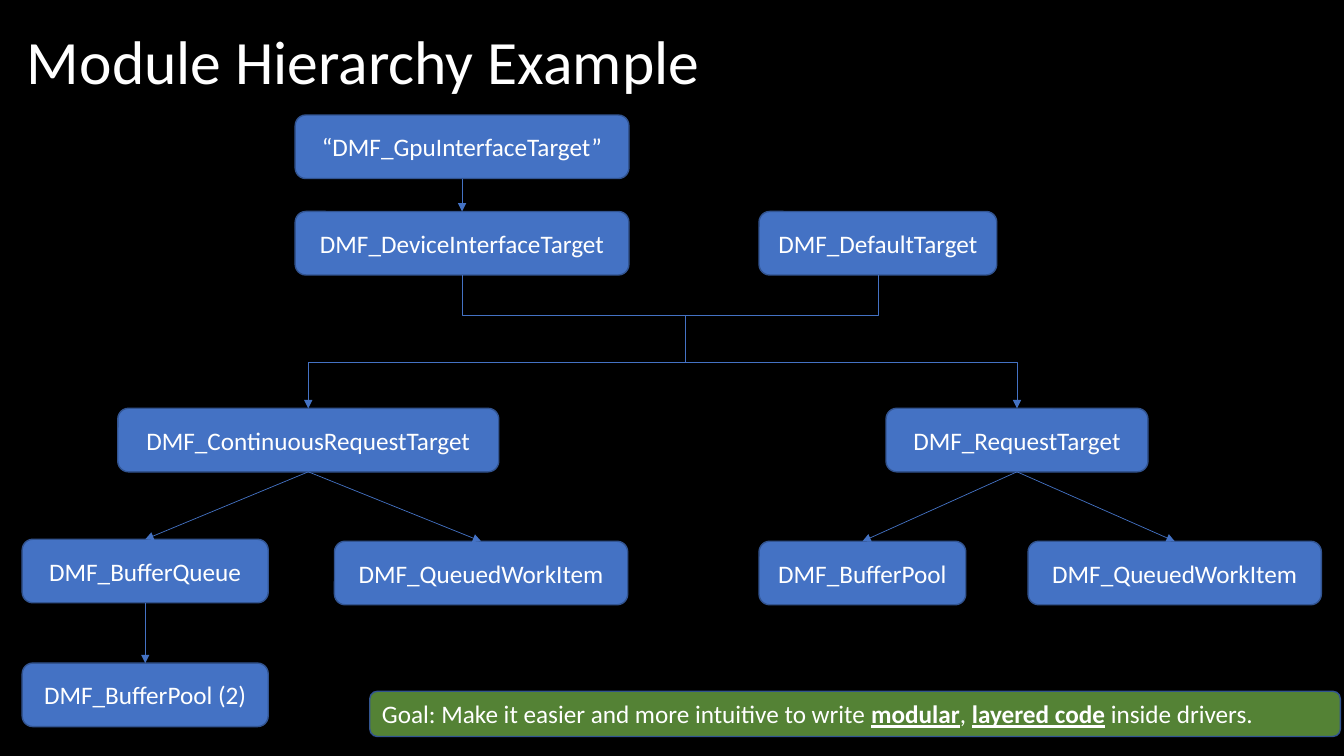
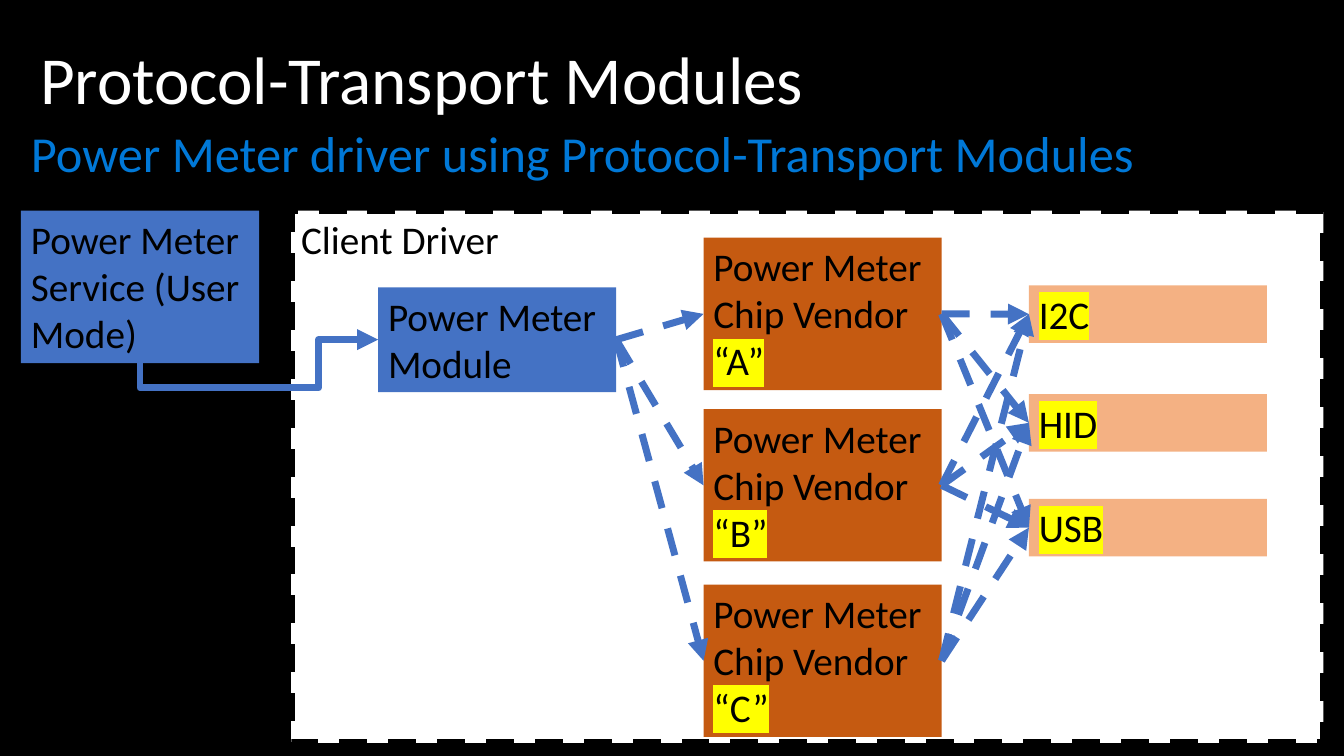
from dataclasses import dataclass
from itertools import product

from lxml import etree
from pptx import Presentation
from pptx.dml.color import RGBColor
from pptx.enum.dml import MSO_LINE
from pptx.enum.shapes import MSO_CONNECTOR, MSO_SHAPE
from pptx.enum.text import MSO_ANCHOR, PP_ALIGN
from pptx.oxml.ns import qn
from pptx.util import Cm, Pt

COLORS = {
    "black": "000000",
    "white": "FFFFFF",
    "blue": "4472C4",
    "edge": "325491",
    "green": "548235",
    "subtitle": "0078D7",
    "vendor": "C55A11",
    "transport": "F4B183",
    "highlight": "FFFF00",
}
FONT = "Calibri"
TOP, LEFT, BOTTOM, RIGHT = range(4)


@dataclass(frozen=True)
class Box:
    left: float
    top: float
    width: float
    height: float


@dataclass(frozen=True)
class Module:
    key: str
    text: str
    left: float
    top: float
    width: float


MODULE_HEIGHT = 1.6
MODULES = (
    Module("gpu", "“DMF_GpuInterfaceTarget”", 7.44, 2.9, 8.41),
    Module("device", "DMF_DeviceInterfaceTarget", 7.44, 5.33, 8.41),
    Module("default", "DMF_DefaultTarget", 19.13, 5.33, 5.99),
    Module("continuous", "DMF_ContinuousRequestTarget", 2.97, 10.29, 9.6),
    Module("request", "DMF_RequestTarget", 22.33, 10.29, 6.6),
    Module("queue", "DMF_BufferQueue", 0.56, 13.59, 6.2),
    Module("left_work", "DMF_QueuedWorkItem", 8.43, 13.64, 7.39),
    Module("pool", "DMF_BufferPool", 19.13, 13.64, 5.21),
    Module("right_work", "DMF_QueuedWorkItem", 25.91, 13.64, 7.39),
    Module("second_pool", "DMF_BufferPool (2)", 0.56, 16.71, 6.2),
)
USES = (
    ("gpu", "device"),
    ("continuous", "queue"),
    ("continuous", "left_work"),
    ("request", "pool"),
    ("request", "right_work"),
    ("queue", "second_pool"),
)
JUNCTION_X, UPPER_BUS, LOWER_BUS = 17.27, 7.95, 9.14


def rgb(color: str) -> RGBColor:
    return RGBColor.from_string(COLORS[color])


def write(shape, text: str, *, size: float, color: str = "white", bold: bool = False,
          underline: bool = False, highlight: str = "", align=PP_ALIGN.LEFT,
          anchor=MSO_ANCHOR.MIDDLE, spacing: float = 1.0) -> None:
    frame = shape.text_frame
    frame.word_wrap = True
    frame.vertical_anchor = anchor
    paragraph = frame.paragraphs[0]
    paragraph.alignment = align
    paragraph.line_spacing = spacing
    run = paragraph.add_run()
    run.text = text
    font = run.font
    font.size = Pt(size)
    font.bold = bold
    font.underline = underline
    font.color.rgb = rgb(color)
    if highlight:
        mark = etree.Element(qn("a:highlight"))
        etree.SubElement(mark, qn("a:srgbClr"), val=COLORS[highlight])
        font.fill._xPr.find(qn("a:solidFill")).addnext(mark)
    font.name = FONT


def add_text(slide, box: Box, text: str, **text_format) -> None:
    area = slide.shapes.add_textbox(Cm(box.left), Cm(box.top), Cm(box.width), Cm(box.height))
    write(area, text, spacing=0.9, **text_format)


def add_block(slide, box: Box, fill: str, *, edge: str = "", weight: float = 1,
              kind=MSO_SHAPE.RECTANGLE):
    block = slide.shapes.add_shape(kind, Cm(box.left), Cm(box.top), Cm(box.width), Cm(box.height))
    block.shadow.inherit = False
    block.fill.solid()
    block.fill.fore_color.rgb = rgb(fill)
    if edge:
        block.line.color.rgb = rgb(edge)
        block.line.width = Pt(weight)
    else:
        block.line.fill.background()
    return block


def add_link(slide, start: tuple[float, float] = (0, 0), end: tuple[float, float] = (0, 0), *,
             source=None, target=None, sides: tuple[int, int] = (BOTTOM, TOP),
             weight: float = 0.5, dashed: bool = False, arrow: str = "tailEnd",
             bend: str = "", adjust: tuple[int, ...] = ()):
    link = slide.shapes.add_connector(
        MSO_CONNECTOR.ELBOW if bend else MSO_CONNECTOR.STRAIGHT,
        *(Cm(value) for value in (*start, *end)))
    if source is not None:
        link.begin_connect(source, sides[0])
    if target is not None:
        link.end_connect(target, sides[1])
    link.line.color.rgb = rgb("blue")
    link.line.width = Pt(weight)
    if dashed:
        link.line.dash_style = MSO_LINE.DASH
    properties = link.element.spPr
    if arrow:
        etree.SubElement(properties.find(qn("a:ln")), qn(f"a:{arrow}"), type="triangle")
    etree.SubElement(properties, qn("a:effectLst"))
    if bend:
        geometry = properties.find(qn("a:prstGeom"))
        geometry.set("prst", bend)
        guides = geometry.find(qn("a:avLst"))
        for number, value in enumerate(adjust, 1):
            etree.SubElement(guides, qn("a:gd"), name=f"adj{number}", fmla=f"val {value}")
    return link


def new_slide(deck, title: str, left: float, top: float, size: float):
    slide = deck.slides.add_slide(deck.slide_layouts[6])
    slide.background.fill.solid()
    slide.background.fill.fore_color.rgb = rgb("black")
    add_text(slide, Box(left, top, 33.02, 2.54), title, size=size)
    return slide


def build_hierarchy(deck) -> None:
    slide = new_slide(deck, "Module Hierarchy Example", 0.43, 0.36, 44)
    modules = {}
    for module in MODULES:
        block = add_block(slide, Box(module.left, module.top, module.width, MODULE_HEIGHT),
                          "blue", edge="edge", kind=MSO_SHAPE.ROUNDED_RECTANGLE)
        write(block, module.text, size=18, align=PP_ALIGN.CENTER)
        modules[module.key] = block
    for user, used in USES:
        add_link(slide, source=modules[user], target=modules[used])

    upper, lower = (JUNCTION_X, UPPER_BUS), (JUNCTION_X, LOWER_BUS)
    add_link(slide, upper, lower, arrow="")
    for key in ("device", "default"):
        add_link(slide, upper, upper, target=modules[key], sides=(TOP, BOTTOM),
                 arrow="", bend="bentConnector2")
    for key in ("continuous", "request"):
        add_link(slide, lower, lower, target=modules[key], bend="bentConnector2")

    goal = add_block(slide, Box(9.32, 17.42, 24.46, 1.14), "green", edge="edge",
                     kind=MSO_SHAPE.ROUNDED_RECTANGLE)
    for text, stressed in (
        ("Goal: Make it easier and more intuitive to write ", False),
        ("modular", True),
        (", ", False),
        ("layered code", True),
        (" inside drivers.", False),
    ):
        write(goal, text, size=18, bold=stressed, underline=stressed)


def build_transport(deck) -> None:
    slide = new_slide(deck, "Protocol-Transport Modules", 0.76, 0.81, 48)
    add_text(slide, Box(0.53, 3.12, 32.56, 1.8),
             "Power Meter driver using Protocol-Transport Modules",
             size=36, color="subtitle", anchor=MSO_ANCHOR.TOP)
    label = {"size": 28, "color": "black", "anchor": MSO_ANCHOR.TOP}

    client = add_block(slide, Box(7.34, 5.31, 26.01, 13.41), "white", edge="black", weight=5)
    client.line.dash_style = MSO_LINE.DASH
    write(client, "Client Driver", **label)
    service = add_block(slide, Box(0.53, 5.31, 6, 3.84), "blue")
    write(service, "Power Meter Service (User Mode)", **label)
    meter = add_block(slide, Box(9.53, 7.24, 6, 2.64), "blue")
    write(meter, "Power Meter Module", **label)

    vendors = []
    for name, top in (("“A”", 5.99), ("“B”", 10.31), ("“C”", 14.73)):
        vendor = add_block(slide, Box(17.73, top, 6, 3.84), "vendor")
        write(vendor, "Power Meter Chip Vendor ", **label)
        write(vendor, name, highlight="highlight", **label)
        vendors.append(vendor)
    transports = []
    for name, top in (("I2C", 7.19), ("HID", 9.93), ("USB", 12.57)):
        transport = add_block(slide, Box(25.93, top, 6, 1.45), "transport")
        write(transport, name, highlight="highlight", **label)
        transports.append(transport)

    add_link(slide, source=meter, target=service, sides=(LEFT, BOTTOM), weight=5,
             arrow="headEnd", bend="bentConnector4", adjust=(25000, 206000))
    for source, target in (*product([meter], vendors), *product(vendors, transports)):
        add_link(slide, source=source, target=target, sides=(RIGHT, LEFT),
                 weight=5, dashed=True)


def main() -> None:
    deck = Presentation()
    deck.slide_width, deck.slide_height = Cm(33.87), Cm(19.05)
    build_hierarchy(deck)
    build_transport(deck)
    deck.save("out.pptx")


if __name__ == "__main__":
    main()
